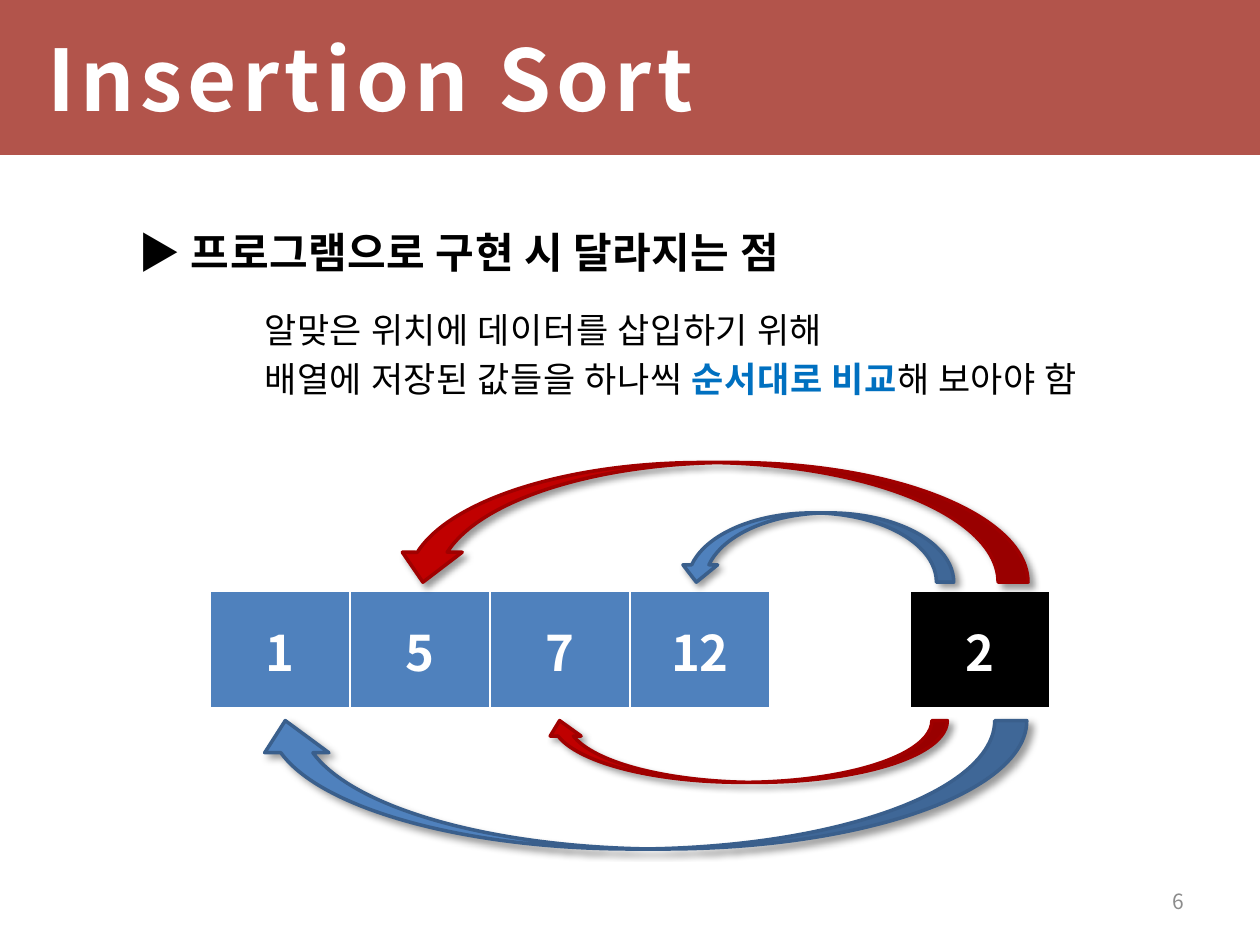
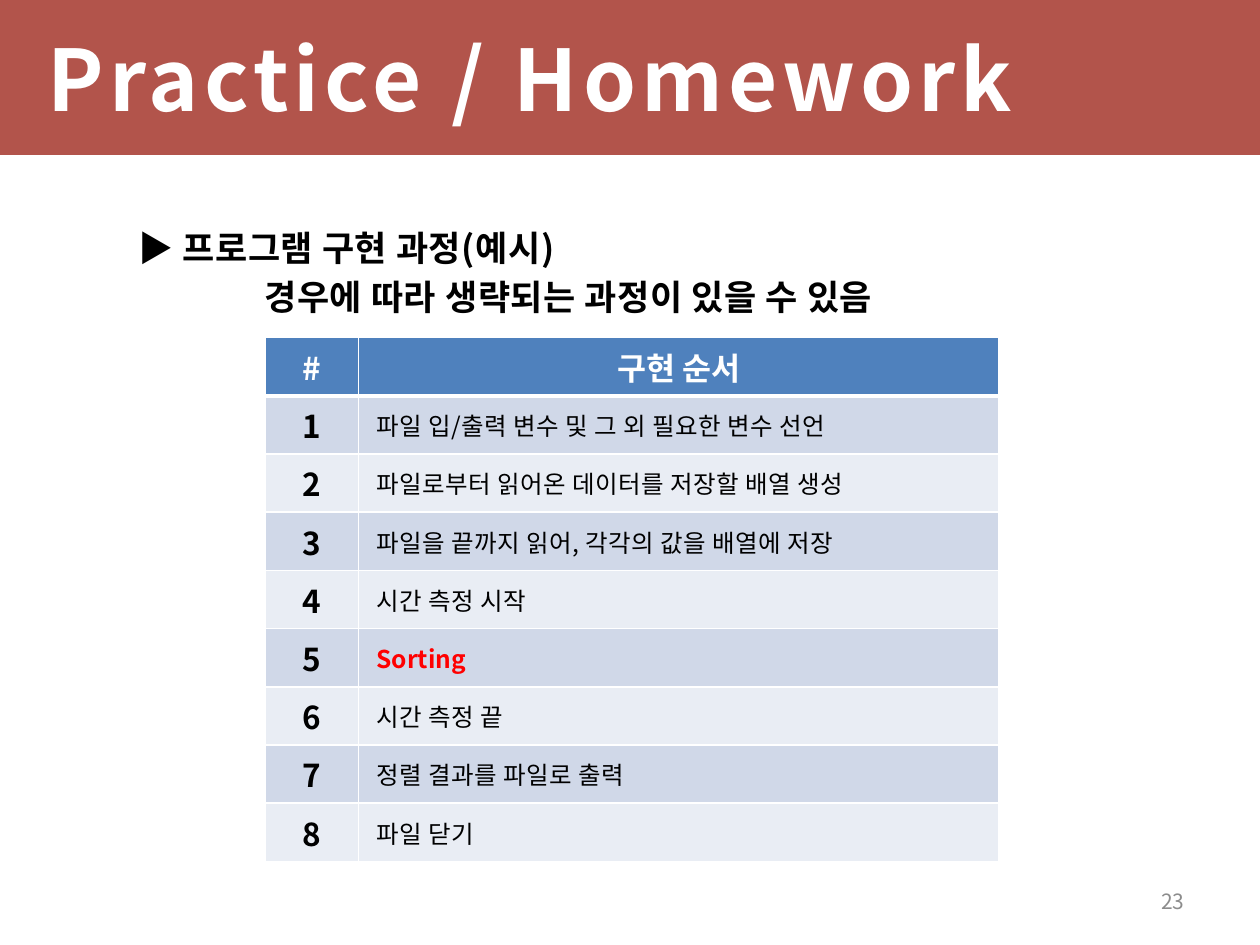
from typing import NamedTuple

from lxml.etree import SubElement
from pptx import Presentation
from pptx.dml.color import RGBColor
from pptx.enum.shapes import MSO_SHAPE as Shape
from pptx.enum.text import MSO_ANCHOR as Anchor, PP_ALIGN as Align
from pptx.oxml.ns import qn
from pptx.util import Pt

FONT = "Noto Sans CJK KR"
COLORS = {
    "band": "9B1F13", "white": "FFFFFF", "black": "000000", "page": "8C8C8C",
    "blue": "4F81BD", "blue_edge": "3A5F8C", "red": "C00000", "red_edge": "A00000",
    "accent": "0070C0", "alert": "FF0000", "row_dark": "D0D8E8", "row_light": "E9EDF4",
}


class Box(NamedTuple):
    """A region of the slide, in points."""
    left: float
    top: float
    width: float
    height: float

    def emu(self):
        """Return the four lengths for python-pptx."""
        return [Pt(length) for length in self]


PAGE = Box(0, 0, 720, 540)
BAND = Box(0, 0, 720, 88.56)
TITLE = Box(20.16, 0, 680.4, 88.56)
BODY = Box(36, 126, 648, 356.4)
PAGE_NUMBER = Box(516.24, 500.4, 167.76, 28.8)
ARRAY = Box(120, 337.68, 480, 67.9)
STEPS = Box(151.5, 192.96, 419.4, 299.4)


def rgb(name):
    """Look up a palette colour."""
    return RGBColor.from_string(COLORS[name])


def write(paragraph, *runs, size=18, color="black", bold=False, align=Align.LEFT,
          indent=0, before=0, tracking=0):
    """Write runs, each a string or a (text, colour, bold) tuple, into a paragraph."""
    paragraph.alignment = align
    paragraph.space_before = Pt(before)
    if indent:
        properties = paragraph._p.get_or_add_pPr()
        properties.set("marL", str(Pt(indent)))
        properties.set("indent", "0")
    for part in runs:
        words, tint, weight = (part, color, bold) if isinstance(part, str) else part
        run = paragraph.add_run()
        run.text = words
        font = run.font
        font.size, font.bold, font.name = Pt(size), weight, FONT
        font.color.rgb = rgb(tint)
        SubElement(font._element, qn("a:ea"), typeface=FONT)
        if tracking:
            font._element.set("spc", str(round(tracking * 100)))


def text_frame(slide, box, anchor=Anchor.TOP):
    """Add a wrapping text box and return its frame."""
    frame = slide.shapes.add_textbox(*box.emu()).text_frame
    frame.word_wrap = True
    frame.vertical_anchor = anchor
    return frame


def add_page(deck, title, number):
    """Add a slide with its title band and page number."""
    slide = deck.slides.add_slide(deck.slide_layouts[6])
    band = slide.shapes.add_shape(Shape.RECTANGLE, *BAND.emu())
    band.shadow.inherit = False
    band.fill.solid()
    band.fill.fore_color.rgb = rgb("band")
    tint = band._element.spPr.find(qn("a:solidFill"))[0]
    SubElement(tint, qn("a:alpha"), val="76000")
    band.line.fill.background()
    write(text_frame(slide, TITLE, Anchor.MIDDLE).paragraphs[0], title,
          size=48.5, color="white", bold=True, tracking=3)
    write(text_frame(slide, PAGE_NUMBER, Anchor.MIDDLE).paragraphs[0], str(number),
          size=12, color="page", align=Align.RIGHT)
    return slide


def add_body(slide, box, heading, details, heading_size=20, heading_gap=4, bold=False):
    """Write a heading and the indented lines under it."""
    frame = text_frame(slide, box)
    write(frame.paragraphs[0], heading, size=heading_size, bold=True,
          align=Align.JUSTIFY, indent=36, tracking=0.3)
    for index, runs in enumerate(details):
        write(frame.add_paragraph(), *runs, size=20, bold=bold, align=Align.JUSTIFY,
              indent=108, before=4 if index else heading_gap, tracking=0.3)


def add_grid(slide, box, rows, widths):
    """Add an unstyled table with equal rows and the given column widths."""
    table = slide.shapes.add_table(rows, len(widths), *box.emu()).table
    table.first_row = table.horz_banding = False
    for column, width in zip(table.columns, widths):
        column.width = Pt(width)
    for row in table.rows:
        row.height = Pt(box.height / rows)
    return table


def style_cell(cell, fill=None, bottom=1):
    """Centre a cell vertically, border it in white and fill it."""
    cell.vertical_anchor = Anchor.MIDDLE
    properties = cell._tc.get_or_add_tcPr()
    for side, width in zip("LRTB", (1, 1, 1, bottom)):
        edge = SubElement(properties, qn(f"a:ln{side}"), w=str(Pt(width)))
        SubElement(SubElement(edge, qn("a:solidFill")), qn("a:srgbClr"), val=COLORS["white"])
    if fill:
        cell.fill.solid()
        cell.fill.fore_color.rgb = rgb(fill)
    else:
        cell.fill.background()


def add_array(slide, box, values):
    """Draw the sorted values, a gap, and the value to insert."""
    table = add_grid(slide, box, 1, [box.width / len(values)] * len(values))
    for index, value in enumerate(values):
        cell = table.cell(0, index)
        last = index == len(values) - 1
        style_cell(cell, ("black" if last else "blue") if value else None, bottom=3)
        if value:
            write(cell.text_frame.paragraphs[0], value, size=28, color="white",
                  bold=True, align=Align.CENTER)


def add_comparison(slide, box, offset, width, height, color, below=False):
    """Curve an arrow from the new value to an array value, above or below the row."""
    top = box.top + box.height + 6.2 if below else box.top - 5 - height
    place = Box(box.left + offset, top, width, height)
    arrow = slide.shapes.add_shape(Shape.CURVED_DOWN_ARROW, *place.emu())
    arrow.fill.solid()
    arrow.fill.fore_color.rgb = rgb(color)
    arrow.line.color.rgb = rgb(f"{color}_edge")
    arrow.line.width = Pt(2)
    arrow.shadow.inherit = False
    frame = arrow._element.spPr.find(qn("a:xfrm"))
    frame.set("flipH", "1")
    if below:
        frame.set("flipV", "1")
    effects = arrow._element.spPr.find(qn("a:effectLst"))
    shadow = SubElement(effects, qn("a:outerShdw"), blurRad=str(Pt(4)), dist=str(Pt(3)),
                        dir="2700000", algn="tl", rotWithShape="0")
    tint = SubElement(shadow, qn("a:srgbClr"), val=COLORS["black"])
    SubElement(tint, qn("a:alpha"), val="40000")


def add_steps(slide, box, header, steps):
    """Draw the numbered table of implementation steps."""
    number_width = 53.28
    table = add_grid(slide, box, len(steps) + 1, [number_width, box.width - number_width])
    for column, label in enumerate(header):
        cell = table.cell(0, column)
        style_cell(cell, "blue", bottom=3)
        write(cell.text_frame.paragraphs[0], label, color="white", bold=True,
              align=Align.CENTER)
    for number, step in enumerate(steps, 1):
        number_cell, step_cell = table.cell(number, 0), table.cell(number, 1)
        for cell in (number_cell, step_cell):
            style_cell(cell, "row_dark" if number % 2 else "row_light")
        step_cell.margin_left = Pt(10.3)
        write(number_cell.text_frame.paragraphs[0], str(number), bold=True,
              align=Align.CENTER)
        write(step_cell.text_frame.paragraphs[0], step, size=14,
              tracking=0.25 if isinstance(step, str) else 0)


def insertion_sort(deck):
    """Show how the new value is compared with each stored one."""
    slide = add_page(deck, "Insertion Sort", 6)
    add_body(slide, BODY, "▶ 프로그램으로 구현 시 달라지는 점", [
        ["알맞은 위치에 데이터를 삽입하기 위해"],
        ["배열에 저장된 값들을 하나씩 ", ("순서대로 비교", "accent", True), "해 보아야 함"],
    ], heading_size=24, heading_gap=18)
    add_array(slide, ARRAY, ["1", "5", "7", "12", "", "2"])
    add_comparison(slide, ARRAY, 268, 157, 39.6, "blue")
    add_comparison(slide, ARRAY, 191, 230.4, 35.3, "red", below=True)
    add_comparison(slide, ARRAY, 104.6, 362.9, 68.4, "red")
    add_comparison(slide, ARRAY, 24.7, 442.1, 73.4, "blue", below=True)


def homework(deck):
    """List the steps of the programming exercise."""
    slide = add_page(deck, "Practice / Homework", 23)
    add_body(slide, BODY, "▶ 프로그램 구현 과정(예시)",
             [["경우에 따라 생략되는 과정이 있을 수 있음"]], bold=True)
    add_steps(slide, STEPS, ["#", "구현 순서"], [
        "파일 입/출력 변수 및 그 외 필요한 변수 선언",
        "파일로부터 읽어온 데이터를 저장할 배열 생성",
        "파일을 끝까지 읽어, 각각의 값을 배열에 저장",
        "시간 측정 시작",
        ("Sorting", "alert", True),
        "시간 측정 끝",
        "정렬 결과를 파일로 출력",
        "파일 닫기",
    ])


def main():
    """Build and save the deck."""
    deck = Presentation()
    deck.slide_width, deck.slide_height = Pt(PAGE.width), Pt(PAGE.height)
    insertion_sort(deck)
    homework(deck)
    deck.save("out.pptx")


if __name__ == "__main__":
    main()
